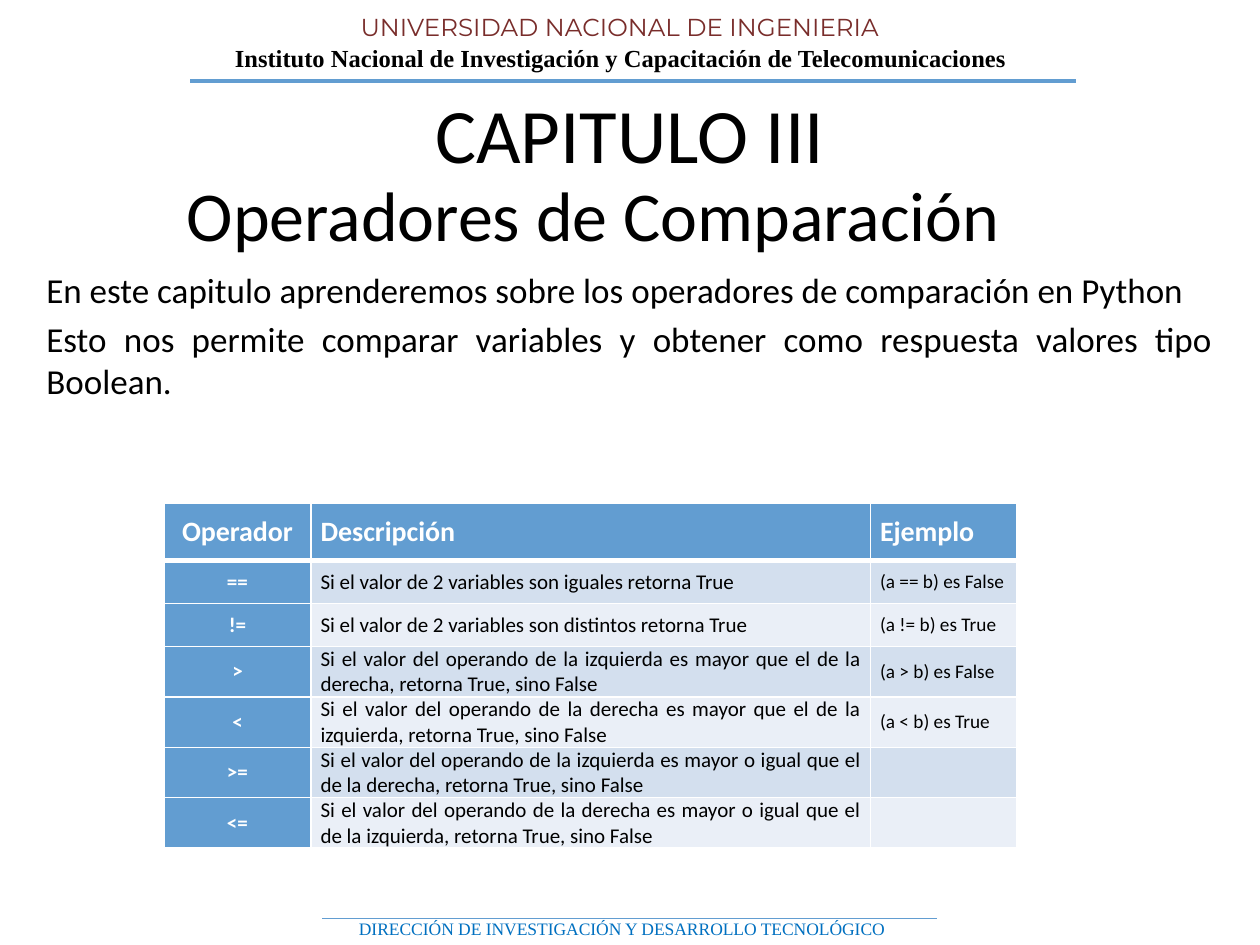
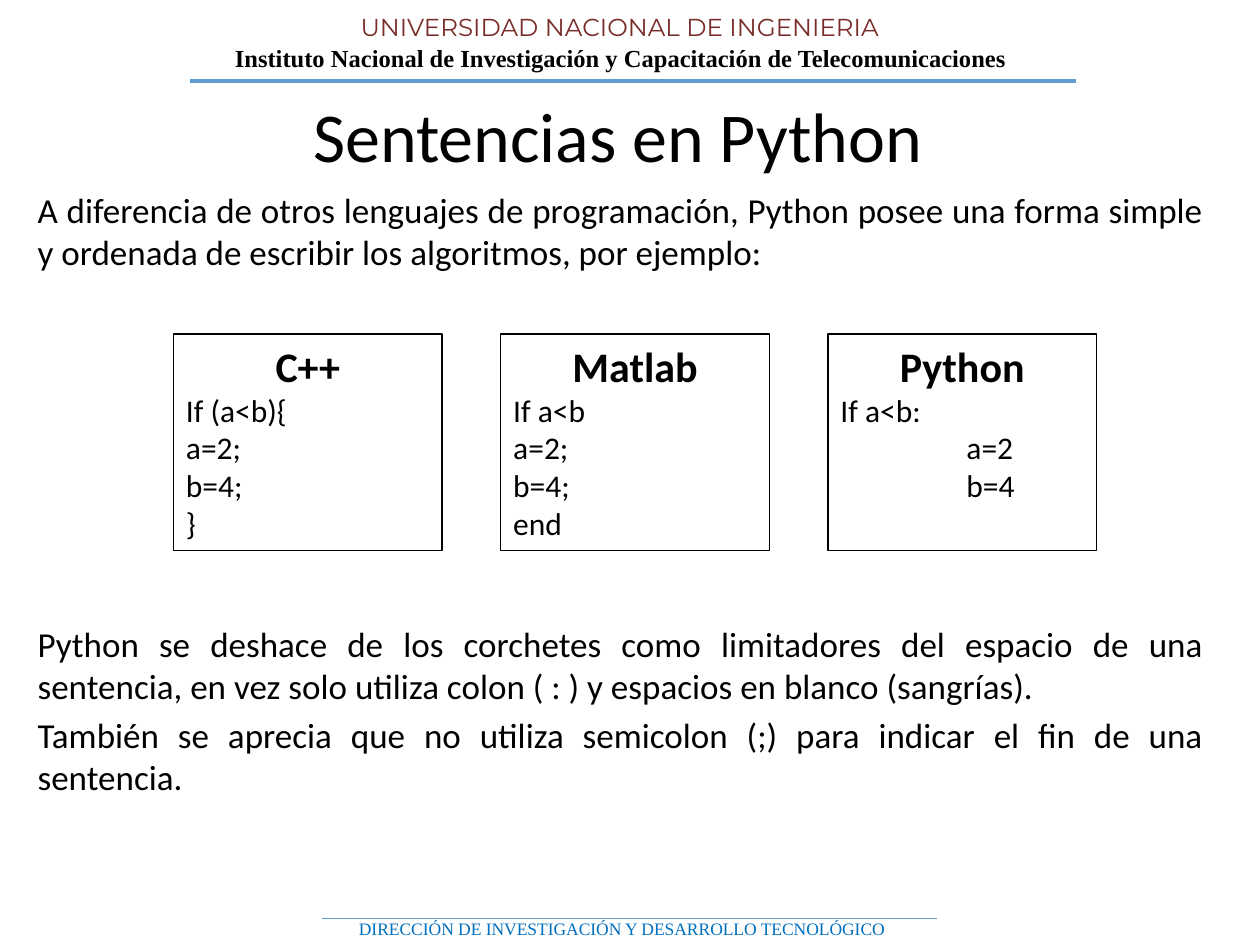
from collections import namedtuple
from dataclasses import dataclass

from lxml.etree import SubElement
from pptx import Presentation
from pptx.dml.color import RGBColor
from pptx.enum.shapes import MSO_CONNECTOR, MSO_SHAPE
from pptx.enum.text import MSO_ANCHOR, MSO_AUTO_SIZE, PP_ALIGN
from pptx.oxml.ns import qn
from pptx.util import Pt

Box = namedtuple("Box", "left top width height")
INSET = 7.2
TAB = 72


@dataclass(frozen=True)
class Theme:
    """Colours, fonts and type sizes shared by the slides."""
    accent: str = "629DD1"
    maroon: str = "792D2B"
    footer_blue: str = "0070C0"
    black: str = "000000"
    white: str = "FFFFFF"
    bands: tuple = ("D3DFEE", "EAEFF7")
    body_font: str = "Calibri"
    serif_font: str = "Times New Roman"
    heading_font: str = "Montserrat"
    chapter: int = 44
    title: int = 40
    code_title: int = 24
    body: int = 20
    code: int = 18
    table_head: int = 16
    header: int = 14
    cell: int = 12
    example: int = 11
    footer: int = 10


THEME = Theme()


def style(paragraph, size, color=THEME.black, font=THEME.body_font, bold=False,
          align=PP_ALIGN.LEFT):
    """Set the font and alignment of a whole paragraph."""
    paragraph.alignment = align
    paragraph.font.size = Pt(size)
    paragraph.font.name = font
    paragraph.font.bold = bold
    paragraph.font.color.rgb = RGBColor.from_string(color)


def add_label(slide, box, text, size, right_inset=INSET, anchor=MSO_ANCHOR.TOP,
              wrap=True, **options):
    """Add a text box holding one styled paragraph."""
    frame = slide.shapes.add_textbox(*map(Pt, box)).text_frame
    frame.word_wrap = wrap
    frame.vertical_anchor = anchor
    frame.margin_right = Pt(right_inset)
    frame.paragraphs[0].text = text
    style(frame.paragraphs[0], size, **options)


def add_title(slide, box, text, size=THEME.title, right_inset=INSET):
    """Add a centred title; a wider right inset moves it to the left."""
    add_label(slide, box, text, size, right_inset, MSO_ANCHOR.MIDDLE,
              align=PP_ALIGN.CENTER)


def add_rule(slide, left, top, width, weight):
    """Add a horizontal accent line."""
    rule = slide.shapes.add_connector(
        MSO_CONNECTOR.STRAIGHT, Pt(left), Pt(top), Pt(left + width), Pt(top))
    rule.line.color.rgb = RGBColor.from_string(THEME.accent)
    rule.line.width = Pt(weight)
    SubElement(rule._element.spPr, qn("a:effectLst"))


def add_header(slide, box):
    """Place the two institution names and the rule below them."""
    left, top, width, height = box
    add_label(slide, Box(left + 3, top + 17.3, width - 5, 24.5),
              "Instituto Nacional de Investigación y Capacitación de "
              "Telecomunicaciones", THEME.header, font=THEME.serif_font,
              bold=True, align=PP_ALIGN.CENTER)
    add_label(slide, Box(left, top, width, 24.5),
              "UNIVERSIDAD NACIONAL DE INGENIERIA", THEME.header,
              font=THEME.heading_font, color=THEME.maroon,
              align=PP_ALIGN.CENTER)
    add_rule(slide, left + 105.8, top + height, 506.2, 2.25)


def add_footer(slide, box):
    """Place the footer rule and the department name."""
    left, top, width, height = box
    add_rule(slide, left, top + 3.6, width, 0.75)
    add_label(slide, Box(left + 13.7, top, 320.4, height),
              "DIRECCIÓN DE INVESTIGACIÓN Y DESARROLLO TECNOLÓGICO",
              THEME.footer, wrap=False, font=THEME.serif_font,
              color=THEME.footer_blue)


def add_body(slide, box, paragraphs):
    """Add justified body text from (text, space before) pairs."""
    frame = slide.shapes.add_textbox(*map(Pt, box)).text_frame
    frame.word_wrap = True
    for index, (text, space) in enumerate(paragraphs):
        paragraph = frame.add_paragraph() if index else frame.paragraphs[0]
        paragraph.text = text
        paragraph.space_before = Pt(space)
        style(paragraph, THEME.body, align=PP_ALIGN.JUSTIFY)


def set_borders(cell, bottom):
    """Draw white borders, with the given weight at the bottom."""
    properties = cell._tc.get_or_add_tcPr()
    weights = {"a:lnL": 1, "a:lnR": 1, "a:lnT": 1, "a:lnB": bottom}
    for position, (tag, weight) in enumerate(weights.items()):
        line = SubElement(properties, qn(tag), w=str(Pt(weight)))
        fill = SubElement(line, qn("a:solidFill"))
        SubElement(fill, qn("a:srgbClr"), val=THEME.white)
        properties.insert(position, line)


def add_operator_table(slide, box, rows, column_widths, row_heights):
    """Add the operator table with an accent first row and first column."""
    table = slide.shapes.add_table(
        len(rows), len(column_widths), *map(Pt, box)).table
    for column, width in zip(table.columns, column_widths):
        column.width = Pt(width)
    for row, height in zip(table.rows, row_heights):
        row.height = Pt(height)
    sizes = (THEME.cell, THEME.cell, THEME.example)
    for row_index, row in enumerate(rows):
        is_head = row_index == 0
        for column_index, text in enumerate(row):
            cell = table.cell(row_index, column_index)
            is_accent = is_head or column_index == 0
            cell.fill.solid()
            cell.fill.fore_color.rgb = RGBColor.from_string(
                THEME.accent if is_accent else THEME.bands[(row_index - 1) % 2])
            cell.vertical_anchor = MSO_ANCHOR.MIDDLE
            cell.margin_left = cell.margin_right = Pt(5.4)
            cell.margin_top = cell.margin_bottom = 0
            cell.text = text
            if column_index == 0:
                align = PP_ALIGN.CENTER
            else:
                align = PP_ALIGN.LEFT if is_head else PP_ALIGN.JUSTIFY
            style(cell.text_frame.paragraphs[0],
                  THEME.table_head if is_head else sizes[column_index],
                  color=THEME.white if is_accent else THEME.black,
                  bold=is_accent, align=align)
            set_borders(cell, 3 if is_head or row_index == 0 else 1)


def add_code_card(slide, box, language, lines):
    """Add an outlined card with a language name and (code, indent) lines."""
    card = slide.shapes.add_shape(MSO_SHAPE.RECTANGLE, *map(Pt, box))
    card.shadow.inherit = False
    card.fill.background()
    card.line.color.rgb = RGBColor.from_string(THEME.black)
    card.line.width = Pt(0.75)
    frame = card.text_frame
    frame.word_wrap = True
    frame.auto_size = MSO_AUTO_SIZE.SHAPE_TO_FIT_TEXT
    frame.vertical_anchor = MSO_ANCHOR.TOP
    frame.paragraphs[0].text = language
    style(frame.paragraphs[0], THEME.code_title, bold=True,
          align=PP_ALIGN.CENTER)
    for code, indent in lines:
        paragraph = frame.add_paragraph()
        paragraph.text = code
        style(paragraph, THEME.code)
        if indent:
            paragraph._p.get_or_add_pPr().set("marL", str(Pt(indent * TAB)))


def add_code_row(slide, box, cards, gap):
    """Spread equal code cards over the box."""
    width = (box.width - gap * (len(cards) - 1)) / len(cards)
    for index, (language, lines) in enumerate(cards):
        place = Box(box.left + index * (width + gap), box.top, width, box.height)
        add_code_card(slide, place, language, lines)


def add_base_slide(presentation):
    """Add a blank slide with the shared header and footer."""
    slide = presentation.slides.add_slide(presentation.slide_layouts[6])
    add_header(slide, Box(2.9, 3.6, 702.7, 42.5))
    add_footer(slide, Box(184.3, 521.3, 351.4, 19.4))
    return slide


def add_comparison_slide(presentation):
    """Build the slide on comparison operators."""
    slide = add_base_slide(presentation)
    add_title(slide, Box(36, 94.3, 648, 55.4), "Operadores de Comparación",
              right_inset=49)
    add_body(slide, Box(19.4, 149.8, 680.4, 329.8), [
        ("En este capitulo aprenderemos sobre los operadores de comparación "
         "en Python", 4),
        ("Esto nos permite comparar variables y obtener como respuesta "
         "valores tipo Boolean.", 4),
    ])
    add_title(slide, Box(36, 48.2, 648, 55.4), "CAPITULO III", THEME.chapter)
    operand = "Si el valor del operando de la {} es {} que el de la {}, " \
              "retorna True, sino False"
    right, left = "derecha", "izquierda"
    rows = [
        ("Operador", "Descripción", "Ejemplo"),
        ("==", "Si el valor de 2 variables son iguales retorna True",
         "(a == b) es False"),
        ("!=", "Si el valor de 2 variables son distintos retorna True",
         "(a != b) es True"),
        (">", operand.format(left, "mayor", right), "(a > b) es False"),
        ("<", operand.format(right, "mayor", left), "(a < b) es True"),
        (">=", operand.format(left, "mayor o igual", right), ""),
        ("<=", operand.format(right, "mayor o igual", left), ""),
    ]
    add_operator_table(slide, Box(93.6, 287.3, 487.4, 197.3), rows,
                       (84.2, 319.7, 83.5), [33.1] + [24.5] * 6)


def add_sentences_slide(presentation):
    """Build the slide that compares the same sentence in three languages."""
    slide = add_base_slide(presentation)
    add_title(slide, Box(36, 49, 648, 55.4), "Sentencias en Python",
              right_inset=21)
    add_body(slide, Box(14.4, 104.4, 680.4, 398.2), [
        ("A diferencia de otros lenguajes de programación, Python posee una "
         "forma simple y ordenada de escribir los algoritmos, por ejemplo:", 4),
        ("Python se deshace de los corchetes como limitadores del espacio de "
         "una sentencia, en vez solo utiliza colon ( : ) y espacios en blanco "
         "(sangrías).", 200),
        ("También se aprecia que no utiliza semicolon (;) para indicar el fin "
         "de una sentencia.", 4),
    ])
    add_code_row(slide, Box(99.2, 190.8, 527.4, 123.8), [
        ("C++", [("If (a<b){", 0), ("a=2;", 0), ("b=4;", 0), ("}", 0)]),
        ("Matlab", [("If a<b", 0), ("a=2;", 0), ("b=4;", 0), ("end", 0)]),
        ("Python", [("If a<b:", 0), ("a=2", 1), ("b=4", 1)]),
    ], gap=33.6)


def main():
    """Build and save the presentation."""
    presentation = Presentation()
    presentation.slide_width = Pt(720)
    presentation.slide_height = Pt(540)
    add_comparison_slide(presentation)
    add_sentences_slide(presentation)
    presentation.save("out.pptx")


main()
